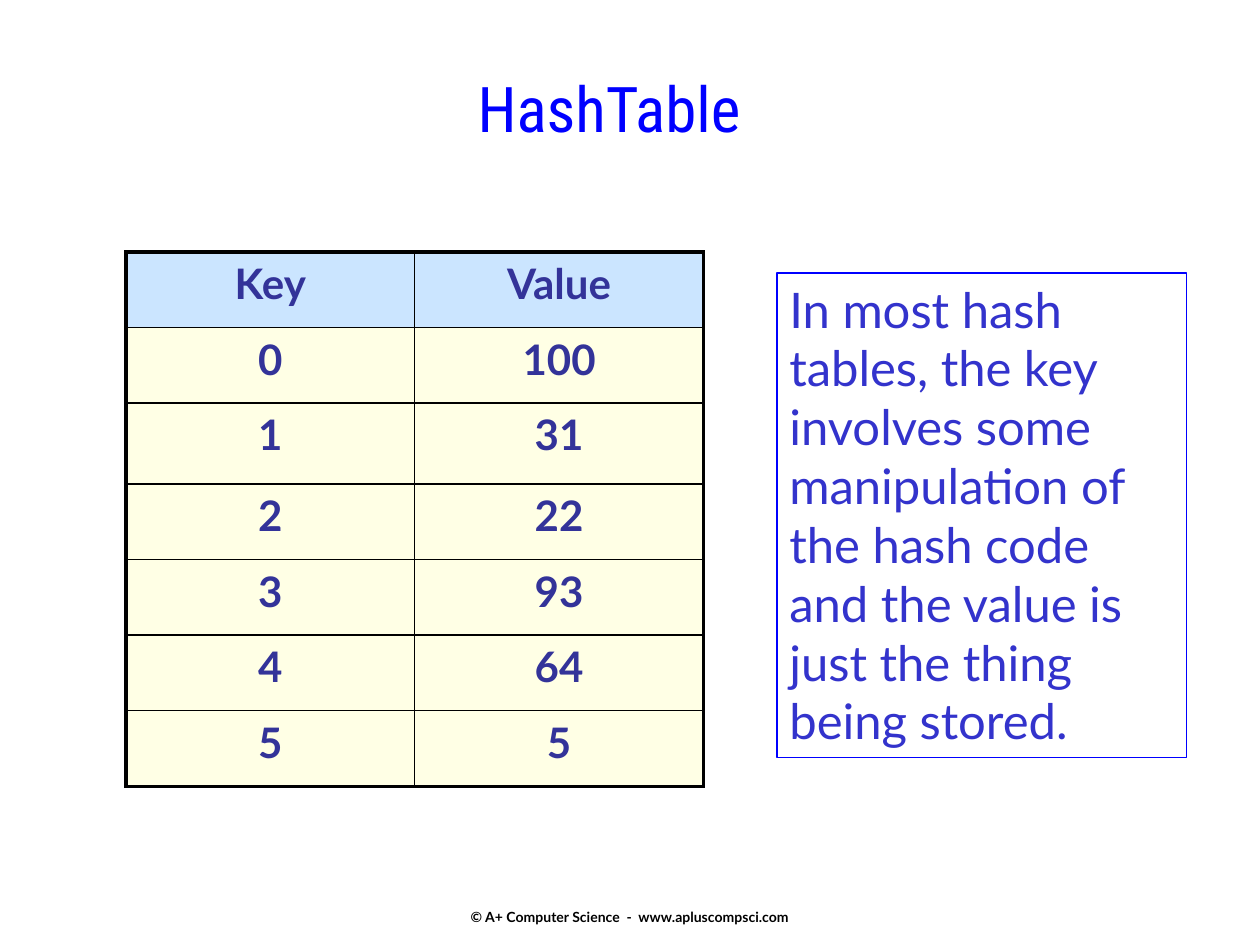
from dataclasses import dataclass

from pptx import Presentation
from pptx.dml.color import RGBColor
from pptx.enum import shapes, text
from pptx.oxml import parse_xml
from pptx.oxml.ns import nsdecls
from pptx.util import Pt


@dataclass(frozen=True)
class Theme:
    body: str = "Lato"
    head: str = "Roboto Condensed"
    blue: str = "0000FF"
    note: str = "3333CC"
    cell: str = "333399"
    ink: str = "000000"
    top: str = "99CCFF"
    row: str = "FFFFCC"
    alpha: int = 50
    title_size: int = 36
    note_size: int = 28
    cell_size: int = 24
    foot_size: int = 8
    thin: float = 1
    thick: float = 2.25
    edge: float = 0.75


THEME = Theme()
ALIGN = text.PP_ALIGN
ANCHOR = text.MSO_ANCHOR
ROWS = [("Key", "Value"), ("0", "100"), ("1", "31"), ("2", "22"),
        ("3", "93"), ("4", "64"), ("5", "5")]
HEIGHTS = [43.2, 43.2, 46.08, 43.2, 43.2, 43.2, 43.2]
COL = 165
NOTE = ("In most hash tables, the key involves some manipulation of the "
        "hash code and the value is just the thing being stored.")
FOOT = "© A+ Computer Science  -  www.apluscompsci.com"


def put(item, form):
    for name, value in form.items():
        setattr(item, name, value)


def write(frame, words, font, size, color, bold=False, align=ALIGN.CENTER):
    frame.text = words
    para = frame.paragraphs[0]
    para.alignment = align
    put(para.font, {"name": font, "size": Pt(size), "bold": bold})
    para.font.color.rgb = RGBColor.from_string(color)


def add_title(slide, words, box):
    title = slide.shapes.title
    put(title, box)
    put(title.text_frame, {"vertical_anchor": ANCHOR.TOP,
                           "auto_size": text.MSO_AUTO_SIZE.NONE})
    write(title.text_frame, words, THEME.head, THEME.title_size, THEME.blue)


def add_note(slide, words, *box):
    note = slide.shapes.add_shape(shapes.MSO_SHAPE.RECTANGLE, *map(Pt, box))
    note.shadow.inherit = False
    note.fill.background()
    note.line.color.rgb = RGBColor.from_string(THEME.blue)
    note.line.width = Pt(THEME.edge)
    put(note.text_frame, {"word_wrap": True, "vertical_anchor": ANCHOR.TOP})
    write(note.text_frame, words, THEME.body, THEME.note_size, THEME.note,
          align=ALIGN.LEFT)


def add_foot(slide, words, *box):
    frame = slide.shapes.add_textbox(*map(Pt, box)).text_frame
    put(frame, {"word_wrap": True, "vertical_anchor": ANCHOR.BOTTOM,
                "margin_bottom": 0})
    write(frame, words, THEME.body, THEME.foot_size, THEME.ink, bold=True)


def tint(cell, color):
    cell.fill.solid()
    cell.fill.fore_color.rgb = RGBColor.from_string(color)
    shade = cell.fill._xPr.solidFill[0]
    shade.append(parse_xml(
        f'<a:alpha {nsdecls("a")} val="{THEME.alpha * 1000}"/>'))


def rule(cell, outer):
    props = cell._tc.get_or_add_tcPr()
    for spot, (side, out) in enumerate(outer.items()):
        width = Pt(THEME.thick if out else THEME.thin)
        props.insert(spot, parse_xml(
            f'<a:ln{side} {nsdecls("a")} w="{width}"><a:solidFill>'
            f'<a:srgbClr val="{THEME.ink}"/></a:solidFill></a:ln{side}>'))


def add_grid(slide, rows, left, top):
    count, wide = len(rows), len(rows[0])
    table = slide.shapes.add_table(
        count, wide, Pt(left), Pt(top), Pt(COL * wide), Pt(sum(HEIGHTS))).table
    put(table, {"first_row": False, "horz_banding": False})
    for col in table.columns:
        col.width = Pt(COL)
    for r, words in enumerate(rows):
        table.rows[r].height = Pt(HEIGHTS[r])
        for c, word in enumerate(words):
            cell = table.cell(r, c)
            write(cell.text_frame, word, THEME.body, THEME.cell_size,
                  THEME.cell, bold=True)
            tint(cell, THEME.row if r else THEME.top)
            rule(cell, {"L": c == 0, "R": c == wide - 1,
                        "T": r == 0, "B": r == count - 1})


def main():
    deck = Presentation()
    put(deck, {"slide_width": Pt(720), "slide_height": Pt(540)})
    slide = deck.slides.add_slide(deck.slide_layouts.get_by_name("Title Only"))
    add_foot(slide, FOOT, 246, 493, 228, 36)
    add_grid(slide, ROWS, 72, 144)
    add_note(slide, NOTE, 444, 156, 234, 277)
    add_title(slide, "HashTable", {"left": Pt(78), "top": Pt(36),
                                   "width": Pt(540), "height": Pt(66)})
    deck.save("out.pptx")


if __name__ == "__main__":
    main()
